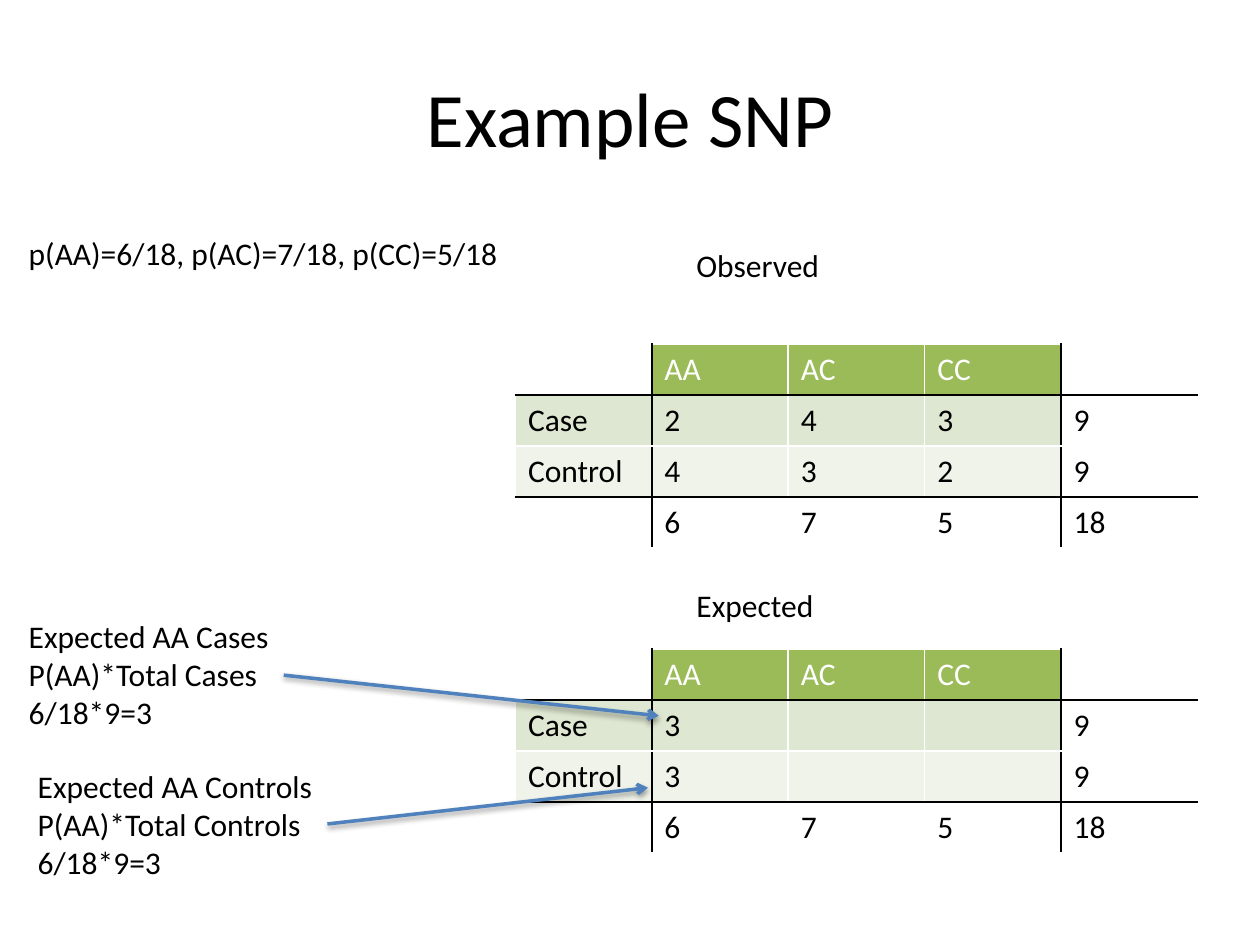
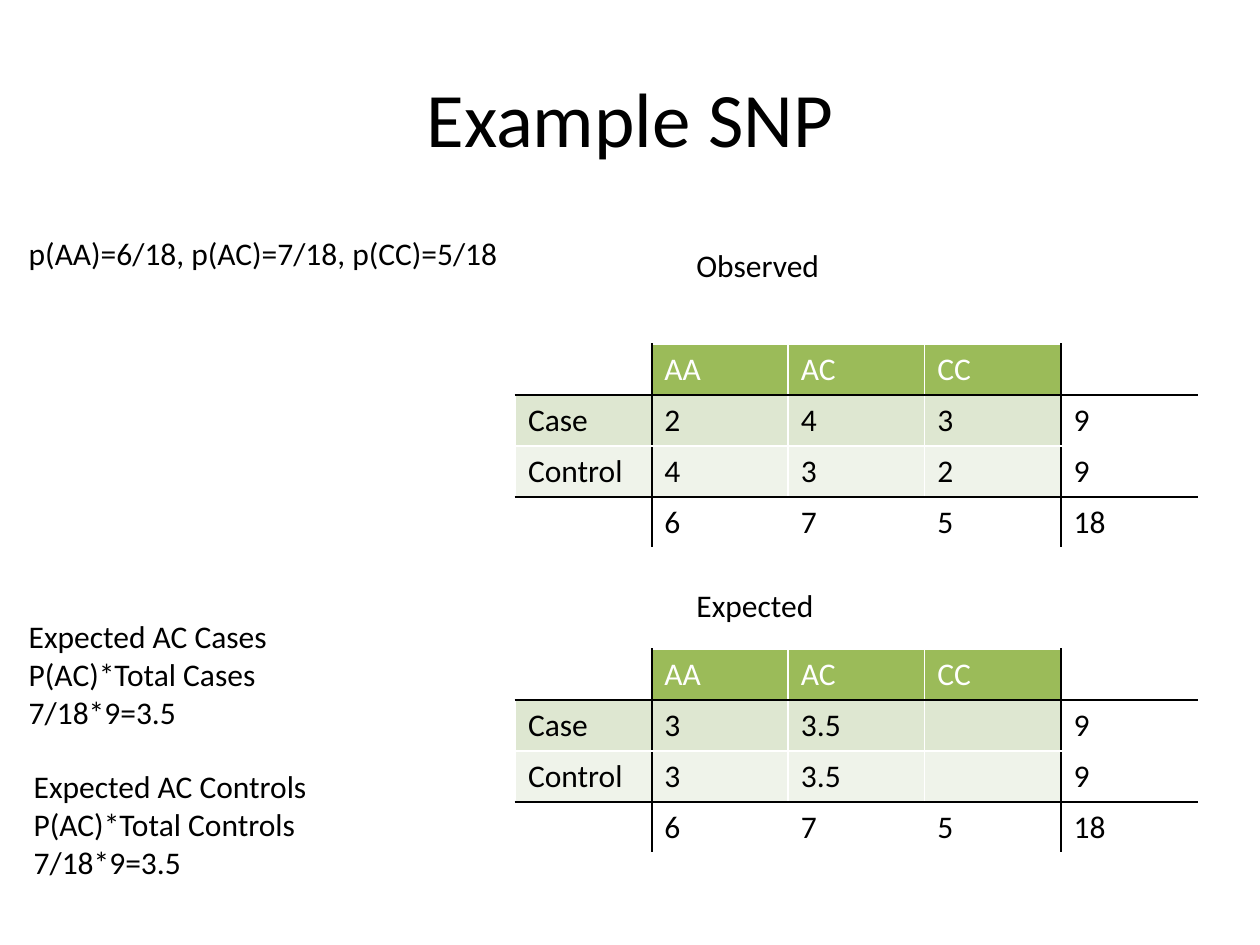
from dataclasses import dataclass

from lxml.etree import SubElement
from pptx import Presentation
from pptx.dml.color import RGBColor
from pptx.enum.shapes import MSO_CONNECTOR
from pptx.enum.text import MSO_ANCHOR, MSO_AUTO_SIZE, PP_ALIGN
from pptx.oxml.ns import qn
from pptx.slide import Slide
from pptx.table import _Cell as Cell
from pptx.util import Cm, Pt

BLACK = RGBColor(0x00, 0x00, 0x00)
WHITE = RGBColor(0xFF, 0xFF, 0xFF)
GREEN = RGBColor(0x9B, 0xBB, 0x59)
GREEN_BAND = RGBColor(0xDE, 0xE7, 0xD1)
GREEN_PALE = RGBColor(0xEF, 0xF3, 0xEA)
BLUE = RGBColor(0x4F, 0x81, 0xBD)

FONT = "Calibri"
BODY_SIZE = 18
TITLE_SIZE = 44

# Table grid, in centimetres
TABLE_LEFT, COLUMN_WIDTH, ROW_HEIGHT = 10.39, 2.75, 1.03
ROW_FILLS = (GREEN, GREEN_BAND, GREEN_PALE, WHITE)
BLACK_COLUMN_EDGES = (1, 4)
BLACK_ROW_EDGES = (1, 3)

HEADER = ("", "AA", "AC", "CC", "")
TOTALS = ("", "6", "7", "5", "18")
OBSERVED = (("2", "4", "3"), ("4", "3", "2"))


@dataclass(frozen=True)
class TextBlock:
    lines: tuple[str, ...]
    left: float
    top: float
    width: float
    height: float
    size: int = BODY_SIZE
    centred: bool = False
    wrap: bool = False


@dataclass(frozen=True)
class Arrow:
    start: tuple[float, float]
    end: tuple[float, float]


@dataclass(frozen=True)
class SnpSlide:
    notes: tuple[TextBlock, ...]
    expected: tuple[tuple[str, ...], ...]
    arrows: tuple[Arrow, ...] = ()


SHARED_TEXTS = (
    TextBlock(("Example SNP",), 1.27, 0.76, 22.86, 3.18, TITLE_SIZE, True, True),
    TextBlock(("Observed",), 13.79, 4.83, 10.34, 1.03, wrap=True),
    TextBlock(("Expected",), 13.79, 11.68, 10.34, 1.03, wrap=True),
    TextBlock(("p(AA)=6/18, p(AC)=7/18, p(CC)=5/18",), 0.33, 4.6, 10.06, 1.03),
)


def expected_notes(genotype: str, result: str, controls_left: float) -> tuple[TextBlock, ...]:
    """Explain the expected count for cases and for controls."""
    groups = (("Cases", 0.33, 12.32, 5.38), ("Controls", controls_left, 15.34, 6.1))
    return tuple(
        TextBlock((f"Expected {genotype} {group}", f"P({genotype})*Total {group}", result),
                  left, top, width, 2.56)
        for group, left, top, width in groups
    )


SLIDES = (
    SnpSlide(
        expected_notes("AA", "6/18*9=3", 0.51),
        (("3", "", ""), ("3", "", "")),
        (Arrow((5.72, 13.61), (13.28, 14.43)), Arrow((6.6, 16.61), (13.06, 15.88))),
    ),
    SnpSlide(
        expected_notes("AC", "7/18*9=3.5", 0.43),
        (("3", "3.5", ""), ("3", "3.5", "")),
    ),
)


def add_run(paragraph, text: str, size: int, color: RGBColor) -> None:
    run = paragraph.add_run()
    run.text = text
    run.font.name = FONT
    run.font.size = Pt(size)
    run.font.color.rgb = color


def draw_text(slide: Slide, block: TextBlock) -> None:
    shape = slide.shapes.add_textbox(
        Cm(block.left), Cm(block.top), Cm(block.width), Cm(block.height))
    frame = shape.text_frame
    frame.word_wrap = block.wrap
    if block.centred:
        frame.vertical_anchor = MSO_ANCHOR.MIDDLE
    else:
        frame.auto_size = MSO_AUTO_SIZE.SHAPE_TO_FIT_TEXT
    for index, line in enumerate(block.lines):
        paragraph = frame.add_paragraph() if index else frame.paragraphs[0]
        paragraph.alignment = PP_ALIGN.CENTER if block.centred else PP_ALIGN.LEFT
        add_run(paragraph, line, block.size, BLACK)


def draw_borders(cell: Cell, row: int, column: int) -> None:
    """Rule off the header, the labels and the totals in black."""
    edges = (
        ("a:lnL", column in BLACK_COLUMN_EDGES),
        ("a:lnR", column + 1 in BLACK_COLUMN_EDGES),
        ("a:lnT", row in BLACK_ROW_EDGES),
        ("a:lnB", row + 1 in BLACK_ROW_EDGES),
    )
    properties = cell._tc.get_or_add_tcPr()
    for tag, is_black in edges:
        line = SubElement(properties, qn(tag), w=str(Pt(1)))
        fill = SubElement(line, qn("a:solidFill"))
        SubElement(fill, qn("a:srgbClr"), val=str(BLACK if is_black else WHITE))


def cell_fill(row: int, column: int) -> RGBColor:
    is_corner = row == 0 and column == 0
    is_total = column == len(HEADER) - 1
    return WHITE if is_corner or is_total else ROW_FILLS[row]


def draw_count_table(slide: Slide, top: float, counts: tuple[tuple[str, ...], ...]) -> None:
    cases, controls = counts
    rows = (HEADER, ("Case", *cases, "9"), ("Control", *controls, "9"), TOTALS)
    table = slide.shapes.add_table(
        len(rows), len(HEADER), Cm(TABLE_LEFT), Cm(top),
        Cm(COLUMN_WIDTH * len(HEADER)), Cm(ROW_HEIGHT * len(rows))).table
    table.first_row = table.horz_banding = False
    for table_column in table.columns:
        table_column.width = Cm(COLUMN_WIDTH)
    for row, values in enumerate(rows):
        table.rows[row].height = Cm(ROW_HEIGHT)
        for column, value in enumerate(values):
            cell = table.cell(row, column)
            draw_borders(cell, row, column)
            cell.fill.solid()
            cell.fill.fore_color.rgb = cell_fill(row, column)
            if value:
                add_run(cell.text_frame.paragraphs[0], value, BODY_SIZE,
                        BLACK if row else WHITE)


def draw_arrow(slide: Slide, arrow: Arrow) -> None:
    points = [Cm(value) for value in (*arrow.start, *arrow.end)]
    connector = slide.shapes.add_connector(MSO_CONNECTOR.STRAIGHT, *points)
    connector.line.color.rgb = BLUE
    connector.line.width = Pt(2)
    SubElement(connector.line._get_or_add_ln(), qn("a:tailEnd"), type="arrow")
    # Soft shadow straight below the line
    effects = SubElement(connector._element.spPr, qn("a:effectLst"))
    shadow = SubElement(effects, qn("a:outerShdw"), blurRad=str(Pt(3.1)),
                        dist=str(Pt(1.6)), dir="5400000", rotWithShape="0")
    color = SubElement(shadow, qn("a:srgbClr"), val=str(BLACK))
    SubElement(color, qn("a:alpha"), val="38000")


def main() -> None:
    presentation = Presentation()
    presentation.slide_width, presentation.slide_height = Cm(25.4), Cm(19.05)
    blank_layout = presentation.slide_layouts[6]
    for content in SLIDES:
        slide = presentation.slides.add_slide(blank_layout)
        for block in SHARED_TEXTS:
            draw_text(slide, block)
        draw_count_table(slide, 6.93, OBSERVED)
        draw_count_table(slide, 13.08, content.expected)
        for note in content.notes:
            draw_text(slide, note)
        for arrow in content.arrows:
            draw_arrow(slide, arrow)
    presentation.save("out.pptx")


if __name__ == "__main__":
    main()
